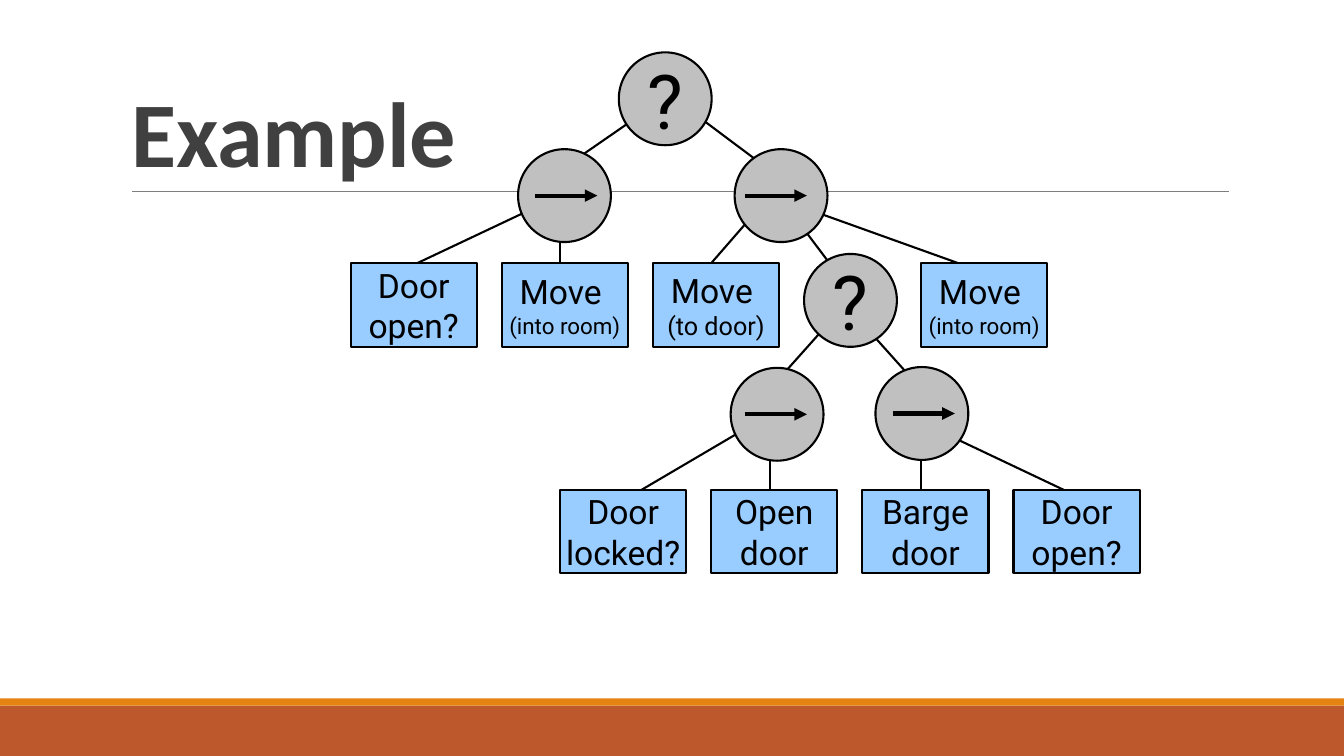
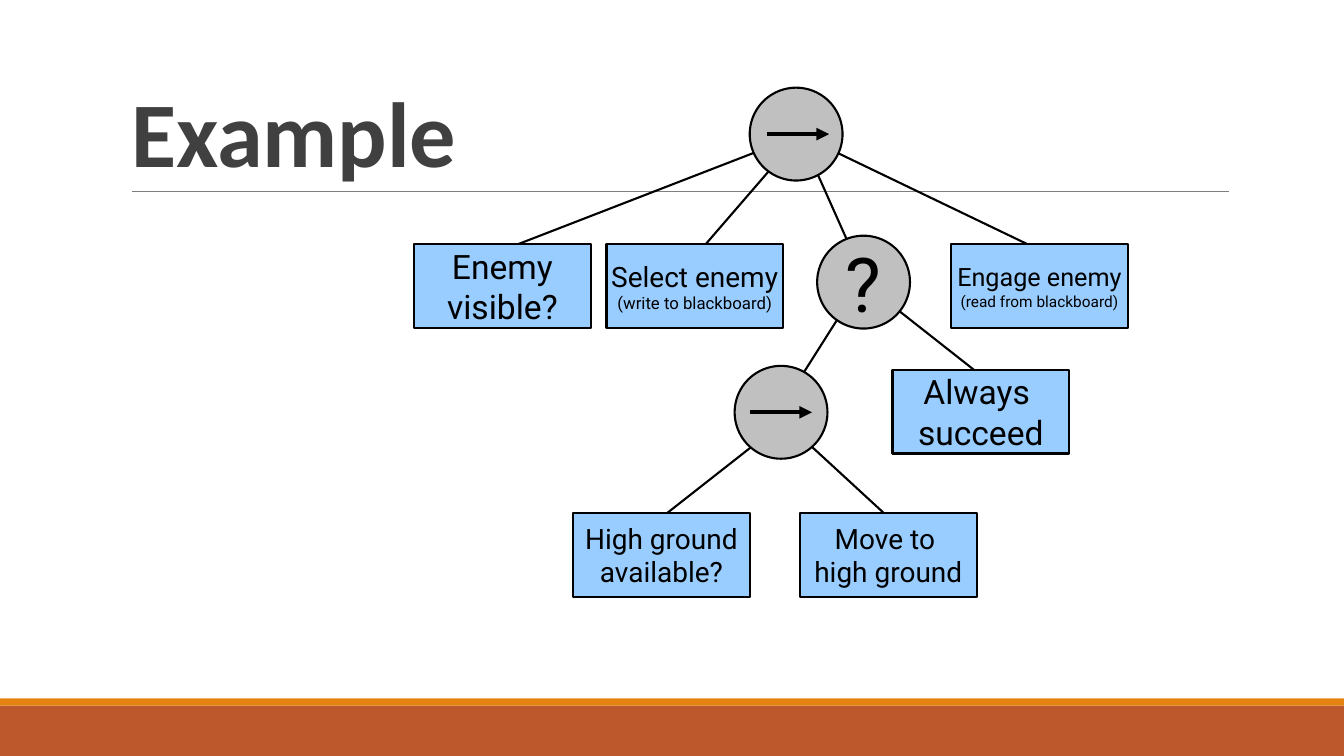
"""Build two behaviour tree example slides."""
from typing import NamedTuple

from lxml import etree
from pptx import Presentation
from pptx import util as u
from pptx.dml.color import RGBColor
from pptx.enum import shapes, text
from pptx.oxml import ns

RUST = RGBColor(0xBD, 0x58, 0x2C)
AMBER = RGBColor(0xE4, 0x83, 0x12)
GREY = RGBColor(0x7F, 0x7F, 0x7F)
DARK = RGBColor(0x40, 0x40, 0x40)
SILVER = RGBColor(0xC0, 0xC0, 0xC0)
SKY = RGBColor(0x99, 0xCC, 0xFF)
BLACK = RGBColor(0, 0, 0)

WIDE, HIGH = 33.88, 19.05
DISC = 2.34
BOX_H = 2.11
ARROW = 1.57
STEP = 3.81
ROW, BASE = 6.63, 12.34

TITLE = {"name": "Calibri", "size": u.Pt(66), "bold": True}
FRAME = {
    "word_wrap": False,
    "vertical_anchor": text.MSO_ANCHOR.MIDDLE,
    "margin_left": u.Cm(0.25),
    "margin_right": u.Cm(0.25),
    "margin_top": u.Cm(0.13),
    "margin_bottom": u.Cm(0.13),
}
PLACE = {"left": u.Cm(3.05), "top": u.Cm(0.79),
         "width": u.Cm(27.94), "height": u.Cm(4.04)}


class Line(NamedTuple):
    """One line of node text and its size."""
    words: str
    size: float = 24


class Leaf(NamedTuple):
    """A box at the end of a branch."""
    x: float
    y: float
    lines: tuple[Line, ...]


class Pick(NamedTuple):
    """A selector disc with a question mark."""
    x: float
    y: float


class Chain(NamedTuple):
    """A sequence disc with an arrow inset from its left."""
    x: float
    y: float
    inset: float = 0.43


class Fan(NamedTuple):
    """Branches from one point to several ends."""
    x: float
    y: float
    ends: tuple[tuple[float, float], ...]


class Tree(NamedTuple):
    """All parts of one slide's tree."""
    width: float
    fans: tuple[Fan, ...]
    leaves: tuple[Leaf, ...]
    picks: tuple[Pick, ...]
    chains: tuple[Chain, ...]


ENTER = (Line("Move "), Line("(into room)", 16))
OPEN = (Line("Door"), Line("open?"))

DOOR = Tree(
    3.18,
    (
        Fan(16.87, 2.39, ((14.12, 4.29), (19.41, 4.29))),
        Fan(14.12, 4.93, ((10.52, ROW), (14.12, ROW))),
        Fan(19.41, 4.93, ((17.93, ROW), (24.71, 6.83))),
        Fan(19.63, 4.93, ((21.54, 7.47),)),
        Fan(21.31, 7.67, ((19.41, 9.8), (23.22, 9.8))),
        Fan(19.41, 10.44, ((15.82, 12.55), (19.41, BASE))),
        Fan(23.22, 10.64, ((23.22, BASE), (27.25, 12.55))),
    ),
    (
        Leaf(8.84, ROW, OPEN),
        Leaf(8.84 + STEP, ROW, ENTER),
        Leaf(8.84 + 2 * STEP, ROW, (Line("Move "), Line("(to door)", 18))),
        Leaf(23.22, ROW, ENTER),
        Leaf(14.12, BASE, (Line("Door"), Line("locked?"))),
        Leaf(14.12 + STEP, BASE, (Line("Open"), Line("door"))),
        Leaf(14.12 + 2 * STEP, BASE, (Line("Barge"), Line("door"))),
        Leaf(14.12 + 3 * STEP, BASE, OPEN),
    ),
    (Pick(15.6, 1.32), Pick(20.27, 6.4)),
    (Chain(13.06, 3.76), Chain(18.52, 3.76, 0.25),
     Chain(18.42, 9.27, 0.35), Chain(22.07, 9.25)),
)

FOE = Tree(
    4.45,
    (
        Fan(20.17, 3.4, ((12.55, 6.35), (17.42, 6.58),
                         (21.87, 7.21), (26.31, 6.35))),
        Fan(21.64, 7.21, ((20.17, 9.53),)),
        Fan(21.87, 7.21, ((24.82, 9.53),)),
        Fan(19.74, 10.59, ((22.5, 13.13),)),
        Fan(19.53, 10.8, ((16.56, 13.13),)),
    ),
    (
        Leaf(10.44, 6.15, (Line("Enemy"), Line("visible?"))),
        Leaf(15.29, 6.15, (Line("Select enemy", 20),
                           Line("(write to blackboard)", 12))),
        Leaf(23.98, 6.15, (Line("Engage enemy", 18),
                           Line("(read from blackboard)", 11))),
        Leaf(22.5, 9.32, (Line("Always "), Line("succeed"))),
        Leaf(14.45, 12.93, (Line("High ground", 20), Line("available?", 20))),
        Leaf(20.17, 12.93, (Line("Move to ", 20), Line("high ground", 20))),
    ),
    (Pick(20.6, 5.94),),
    (Chain(18.9, 2.21), Chain(18.52, 9.22, 0.38)),
)


def style(item, facts: dict) -> None:
    """Set each attribute of an item from a dict."""
    for key, value in facts.items():
        setattr(item, key, value)


def link(slide, x: float, y: float, to: tuple[float, float],
         color=BLACK, weight: float = 1.5, head: bool = False):
    """Draw a straight line, with an arrowhead if asked."""
    line = slide.shapes.add_connector(
        shapes.MSO_CONNECTOR.STRAIGHT, *map(u.Cm, (x, y, *to)))
    line.line.color.rgb = color
    line.line.width = u.Pt(weight)
    props = line.element.spPr
    if head:
        etree.SubElement(props.find(ns.qn("a:ln")), ns.qn("a:tailEnd"),
                         type="triangle")
    etree.SubElement(props, ns.qn("a:effectLst"))
    return line


def block(slide, kind, box: tuple[float, ...], fill, edge=None):
    """Draw a filled shape, outlined if an edge colour is given."""
    shape = slide.shapes.add_shape(kind, *map(u.Cm, box))
    shape.shadow.inherit = False
    shape.fill.solid()
    shape.fill.fore_color.rgb = fill
    if edge is None:
        shape.line.fill.background()
    else:
        shape.line.color.rgb = edge
        shape.line.width = u.Pt(1.5)
    return shape


def write(shape, lines: tuple[Line, ...]) -> None:
    """Put centred lines of text in a shape."""
    frame = shape.text_frame
    style(frame, FRAME)
    for num, line in enumerate(lines):
        para = frame.add_paragraph() if num else frame.paragraphs[0]
        para.alignment = text.PP_ALIGN.CENTER
        run = para.add_run()
        run.text = line.words
        style(run.font, {"name": "Roboto", "size": u.Pt(line.size)})
        run.font.color.rgb = BLACK


def disc(slide, x: float, y: float):
    """Draw a round tree node."""
    return block(slide, shapes.MSO_SHAPE.OVAL, (x, y, DISC, DISC),
                 SILVER, BLACK)


def dress(layout, slide) -> None:
    """Give the layout its title place, bands and rule."""
    for holder in list(layout.placeholders):
        if holder.placeholder_format.type == shapes.PP_PLACEHOLDER.TITLE:
            style(holder, PLACE)
        else:
            holder.element.getparent().remove(holder.element)
    rect = shapes.MSO_SHAPE.RECTANGLE
    parts = (
        block(slide, rect, (0, 17.78, WIDE, 1.27), RUST),
        block(slide, rect, (0, 17.6, WIDE, 0.18), AMBER),
        link(slide, 3.33, 4.83, (30.99, 4.83), GREY, 0.5),
    )
    for part in parts:
        layout.shapes.element.append(part.element)


def head(slide, words: str) -> None:
    """Fill and format the slide title."""
    frame = slide.shapes.title.text_frame
    style(frame, {"auto_size": text.MSO_AUTO_SIZE.NONE,
                  "vertical_anchor": text.MSO_ANCHOR.BOTTOM})
    para = frame.paragraphs[0]
    style(para, {"alignment": text.PP_ALIGN.LEFT, "line_spacing": 0.85})
    run = para.add_run()
    run.text = words
    style(run.font, TITLE)
    run.font.color.rgb = DARK


def draw(slide, tree: Tree) -> None:
    """Draw the branches and then the nodes of a tree."""
    for fan in tree.fans:
        for end in fan.ends:
            link(slide, fan.x, fan.y, end)
    for leaf in tree.leaves:
        box = (leaf.x, leaf.y, tree.width, BOX_H)
        write(block(slide, shapes.MSO_SHAPE.RECTANGLE, box, SKY, BLACK),
              leaf.lines)
    for pick in tree.picks:
        write(disc(slide, pick.x, pick.y), (Line("?", 54),))
    for chain in tree.chains:
        disc(slide, chain.x, chain.y)
        x, y = chain.x + chain.inset, chain.y + DISC / 2
        link(slide, x, y, (x + ARROW, y), weight=3, head=True)


def main() -> None:
    """Build and save the deck."""
    deck = Presentation()
    style(deck, {"slide_width": u.Cm(WIDE), "slide_height": u.Cm(HIGH)})
    layout = deck.slide_layouts[5]
    slides = [deck.slides.add_slide(layout) for _ in range(2)]
    dress(layout, slides[0])
    for slide, tree in zip(slides, (DOOR, FOE)):
        head(slide, "Example")
        draw(slide, tree)
    deck.save("out.pptx")


if __name__ == "__main__":
    main()
